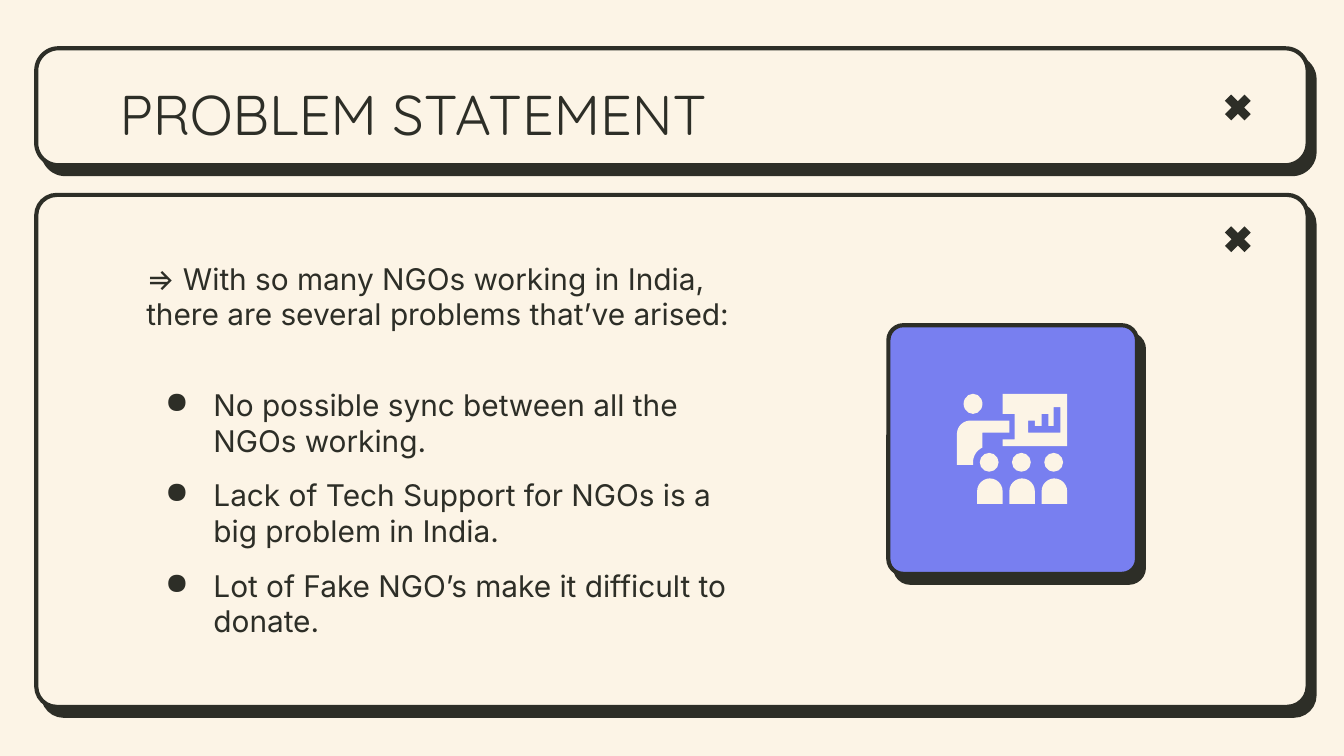
import math

from lxml import etree
from pptx import Presentation
from pptx.dml.color import RGBColor
from pptx.enum import shapes, text
from pptx.oxml.ns import qn
from pptx.util import Inches, Pt

INK, CREAM, VIOLET = "2D2E27", "FCF4E6", "787FF0"
KIND = shapes.MSO_SHAPE
INTRO = "⇒ With so many NGOs working in India, there are several problems that’ve arised:"
PROBLEMS = [
    "No possible sync between all the NGOs working.",
    "Lack of Tech Support for NGOs is a big problem in India.",
    "Lot of Fake NGO’s make it difficult to donate.",
]


def color(value):
    return RGBColor.from_string(value)


def paint(shape, fill):
    shape.shadow.inherit = False
    shape.fill.solid()
    shape.fill.fore_color.rgb = color(fill)
    shape.line.fill.background()


def add_shape(page, kind, left, top, width, height, fill):
    shape = page.shapes.add_shape(
        kind, Inches(left), Inches(top), Inches(width), Inches(height))
    paint(shape, fill)
    return shape


def add_panel(page, left, top, width, height, rounding, fill):
    """Outlined rounded card with a hard offset shadow."""
    panel = add_shape(page, KIND.ROUNDED_RECTANGLE, left, top, width, height, fill)
    panel.adjustments[0] = rounding
    panel.line.color.rgb = color(INK)
    panel.line.width = Pt(2.25)
    effects = panel.element.spPr.find(qn("a:effectLst"))
    shadow = etree.SubElement(
        effects, qn("a:outerShdw"), blurRad="0", dist=str(Pt(6)),
        dir=str(52 * 60000), algn="bl", rotWithShape="0")
    etree.SubElement(shadow, qn("a:srgbClr"), val=INK)


def add_outline(page, contours, fill):
    builder = None
    for contour in contours:
        points = [(Inches(x), Inches(y)) for x, y in contour]
        if builder is None:
            builder = page.shapes.build_freeform(*points[0], scale=1.0)
        else:
            builder.move_to(*points[0])
        builder.add_line_segments(points[1:], close=True)
    paint(builder.convert_to_shape(), fill)


def arc(x, y, radius, start, end, steps=10):
    angles = [math.radians(start + (end - start) * i / steps) for i in range(steps + 1)]
    return [(x + radius * math.cos(a), y + radius * math.sin(a)) for a in angles]


def add_run(para, words, font, size):
    span = para.add_run()
    span.text = words
    span.font.name = font
    span.font.size = Pt(size)
    span.font.color.rgb = color(INK)


def add_bullet(para):
    props = para._p.get_or_add_pPr()
    props.set("marL", str(Inches(0.5)))
    props.set("indent", str(Inches(-0.36)))
    tint = etree.SubElement(props, qn("a:buClr"))
    etree.SubElement(tint, qn("a:srgbClr"), val=INK)
    etree.SubElement(props, qn("a:buChar"), char="●")


def format_frame(frame, anchor):
    frame.word_wrap = True
    frame.auto_size = text.MSO_AUTO_SIZE.NONE
    frame.vertical_anchor = anchor
    frame.margin_left = frame.margin_right = Inches(0.1)
    frame.margin_top = frame.margin_bottom = Inches(0.1)


def add_title(page):
    title = page.shapes.title
    title.left, title.top = Inches(0.79), Inches(0.49)
    title.width, title.height = Inches(8.43), Inches(0.63)
    format_frame(title.text_frame, text.MSO_ANCHOR.TOP)
    para = title.text_frame.paragraphs[0]
    para.alignment = text.PP_ALIGN.LEFT
    para.line_spacing = 1.0
    add_run(para, "PROBLEM STATEMENT", "Quicksand", 30)


def add_problems(page):
    box = page.shapes.add_textbox(Inches(0.99), Inches(1.69), Inches(4.6), Inches(3.31))
    frame = box.text_frame
    format_frame(frame, text.MSO_ANCHOR.MIDDLE)
    add_run(frame.paragraphs[0], INTRO, "Inter", 16)
    for index, problem in enumerate(PROBLEMS):
        para = frame.add_paragraph()
        add_bullet(para)
        para.space_before = Pt(10 if index else 29.4)
        add_run(para, problem, "Inter", 16)
    para.space_after = Pt(10)


def add_class_icon(page):
    """A presenter pointing at a chart board, before three listeners."""
    board = [(7.46, 2.93), (7.46, 3.08), (7.55, 3.08), (7.55, 3.27),
             (7.46, 3.27), (7.46, 3.32), (7.94, 3.32), (7.94, 2.93)]
    bars = [(7.89, 3.03), (7.89, 3.22), (7.65, 3.22), (7.65, 3.13), (7.7, 3.13),
            (7.7, 3.17), (7.75, 3.17), (7.75, 3.08), (7.8, 3.08), (7.8, 3.17),
            (7.84, 3.17), (7.84, 3.03)]
    add_outline(page, [board, bars], CREAM)

    presenter = (arc(7.22, 3.23, 0.1, 270, 180) + [(7.12, 3.46), (7.24, 3.46)]
                 + arc(7.36, 3.44, 0.12, 180, 245)
                 + [(7.31, 3.22), (7.51, 3.22), (7.51, 3.13)])
    add_outline(page, [presenter], CREAM)
    add_shape(page, KIND.OVAL, 7.17, 2.93, 0.14, 0.15, CREAM)

    for listener in range(3):
        left = 7.27 + 0.24 * listener
        add_shape(page, KIND.OVAL, left + 0.02, 3.37, 0.14, 0.14, CREAM)
        body = add_shape(page, KIND.ROUND_2_SAME_RECTANGLE, left, 3.56, 0.19, 0.19, CREAM)
        body.adjustments[0] = 0.5


def main():
    deck = Presentation()
    deck.slide_width, deck.slide_height = Inches(10), Inches(10 * 9 / 16)
    page = deck.slides.add_slide(deck.slide_layouts[5])
    page.background.fill.solid()
    page.background.fill.fore_color.rgb = color(CREAM)

    add_panel(page, 0.27, 0.36, 9.46, 0.87, 0.19, CREAM)
    add_panel(page, 0.27, 1.45, 9.46, 3.81, 0.04, CREAM)
    for top in (0.66, 1.64):
        add_shape(page, KIND.MATH_MULTIPLY, 9.07, top, 0.28, 0.28, INK)
    add_panel(page, 6.61, 2.42, 1.85, 1.85, 0.06, VIOLET)
    add_problems(page)
    add_class_icon(page)

    add_title(page)
    title = page.shapes.title.element
    title.getparent().append(title)  # bring the title in front of its panel
    deck.save("out.pptx")


if __name__ == "__main__":
    main()
